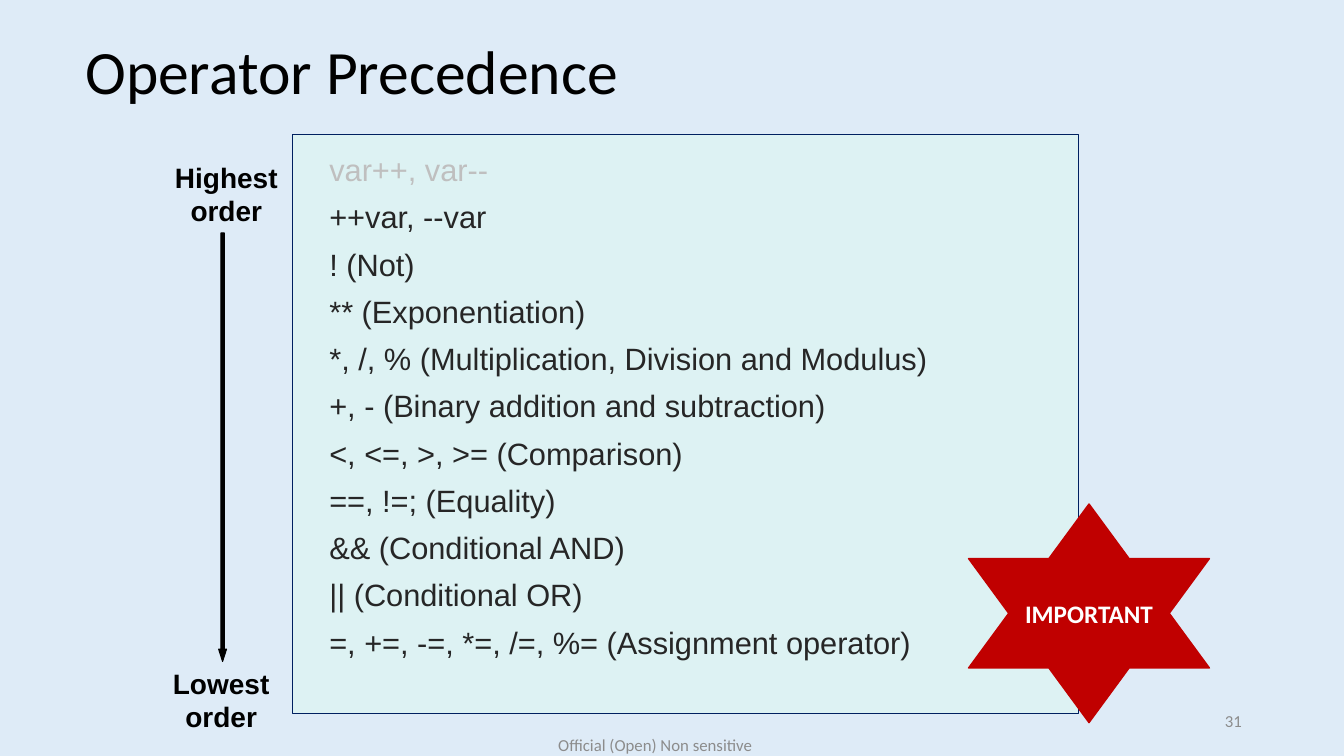
from dataclasses import dataclass

from pptx import Presentation
from pptx.dml.color import RGBColor
from pptx.enum.shapes import MSO_SHAPE as Shape
from pptx.enum.text import MSO_ANCHOR as Anchor, PP_ALIGN as Align
from pptx.util import Cm, Pt


@dataclass(frozen=True)
class Theme:
    background: str = "DEEBF7"
    panel: str = "DDF2F3"
    panel_line: str = "002060"
    black: str = "000000"
    body: str = "262626"
    faded: str = "BFBFBF"
    footer: str = "8C8C8C"
    accent: str = "C00000"
    white: str = "FFFFFF"
    heading_font: str = "Calibri"
    body_font: str = "Arial"
    title_size: int = 44
    list_size: int = 22
    label_size: int = 20
    badge_size: int = 18
    footer_size: int = 12


THEME = Theme()

OPERATORS = [
    "var++, var--",
    "++var, --var",
    "! (Not)",
    "** (Exponentiation)",
    "*, /, % (Multiplication, Division and Modulus)",
    "+, - (Binary addition and subtraction)",
    "<, <=, >, >= (Comparison)",
    "==, !=; (Equality)",
    "&& (Conditional AND)",
    "|| (Conditional OR)",
    "=, +=, -=, *=, /=, %= (Assignment operator)",
]


def style(para, size, color, font=THEME.heading_font, bold=False, align=Align.LEFT):
    para.alignment = align
    para.font.name = font
    para.font.size = Pt(size)
    para.font.bold = bold
    para.font.color.rgb = RGBColor.from_string(color)


def add_shape(page, kind, area, fill, line, width):
    shape = page.shapes.add_shape(kind, *map(Cm, area))
    shape.shadow.inherit = False
    shape.fill.solid()
    shape.fill.fore_color.rgb = RGBColor.from_string(fill)
    shape.line.color.rgb = RGBColor.from_string(line)
    shape.line.width = Pt(width)
    return shape


def add_text(page, area, text, size, color, anchor=Anchor.MIDDLE, **look):
    frame = page.shapes.add_textbox(*map(Cm, area)).text_frame
    frame.word_wrap = True
    frame.vertical_anchor = anchor
    para = frame.paragraphs[0]
    para.text = text
    style(para, size, color, **look)
    return frame


def add_order_label(page, area, text):
    add_text(page, area, text, THEME.label_size, THEME.black, Anchor.TOP,
             font=THEME.body_font, bold=True, align=Align.CENTER)


def add_operator_list(page, area, operators):
    frame = page.shapes.add_textbox(*map(Cm, area)).text_frame
    frame.word_wrap = True
    for index, operator in enumerate(operators):
        para = frame.add_paragraph() if index else frame.paragraphs[0]
        para.text = operator
        para.line_spacing = 0.9
        if index:
            para.space_before = Pt(10)
        style(para, THEME.list_size, THEME.body if index else THEME.faded,
              THEME.body_font, align=Align.JUSTIFY)


def add_badge(page, area, text):
    star = add_shape(page, Shape.STAR_6_POINT, area, THEME.accent, THEME.accent, 1)
    frame = star.text_frame
    frame.vertical_anchor = Anchor.MIDDLE
    frame.margin_left = frame.margin_right = 0
    para = frame.paragraphs[0]
    para.text = text
    style(para, THEME.badge_size, THEME.white, bold=True, align=Align.CENTER)


def main():
    deck = Presentation()
    deck.slide_width, deck.slide_height = Cm(33.87), Cm(19.05)
    page = deck.slides.add_slide(deck.slide_layouts[6])
    page.background.fill.solid()
    page.background.fill.fore_color.rgb = RGBColor.from_string(THEME.background)

    # Panel, title and operators
    add_shape(page, Shape.RECTANGLE, (7.37, 3.38, 19.81, 14.6),
              THEME.panel, THEME.panel_line, 0.5)
    title = add_text(page, (1.9, 0.05, 29.21, 3.68), "Operator Precedence",
                     THEME.title_size, THEME.black)
    title.paragraphs[0].line_spacing = 0.9
    add_operator_list(page, (8.05, 3.78, 20.12, 14.43), OPERATORS)

    # Scale from highest to lowest
    arrow = add_shape(page, Shape.DOWN_ARROW, (5.51, 5.87, 0.2, 10.8),
                      THEME.black, THEME.black, 0.75)
    arrow.adjustments[0] = 0.42
    arrow.adjustments[1] = 1.56
    add_order_label(page, (4.09, 3.91, 3.23, 1.96), "Highest order")
    add_order_label(page, (4.09, 16.66, 2.97, 1.96), "Lowest\norder")

    # Badge and footer
    add_badge(page, (24.41, 12.7, 6.07, 5.51), "IMPORTANT")
    add_text(page, (23.93, 17.65, 7.62, 1.02), "31",
             THEME.footer_size, THEME.footer, align=Align.RIGHT)
    add_text(page, (10.8, 18.26, 11.43, 1.02), "Official (Open) Non sensitive",
             THEME.footer_size, THEME.footer, align=Align.CENTER)

    deck.save("out.pptx")


if __name__ == "__main__":
    main()
